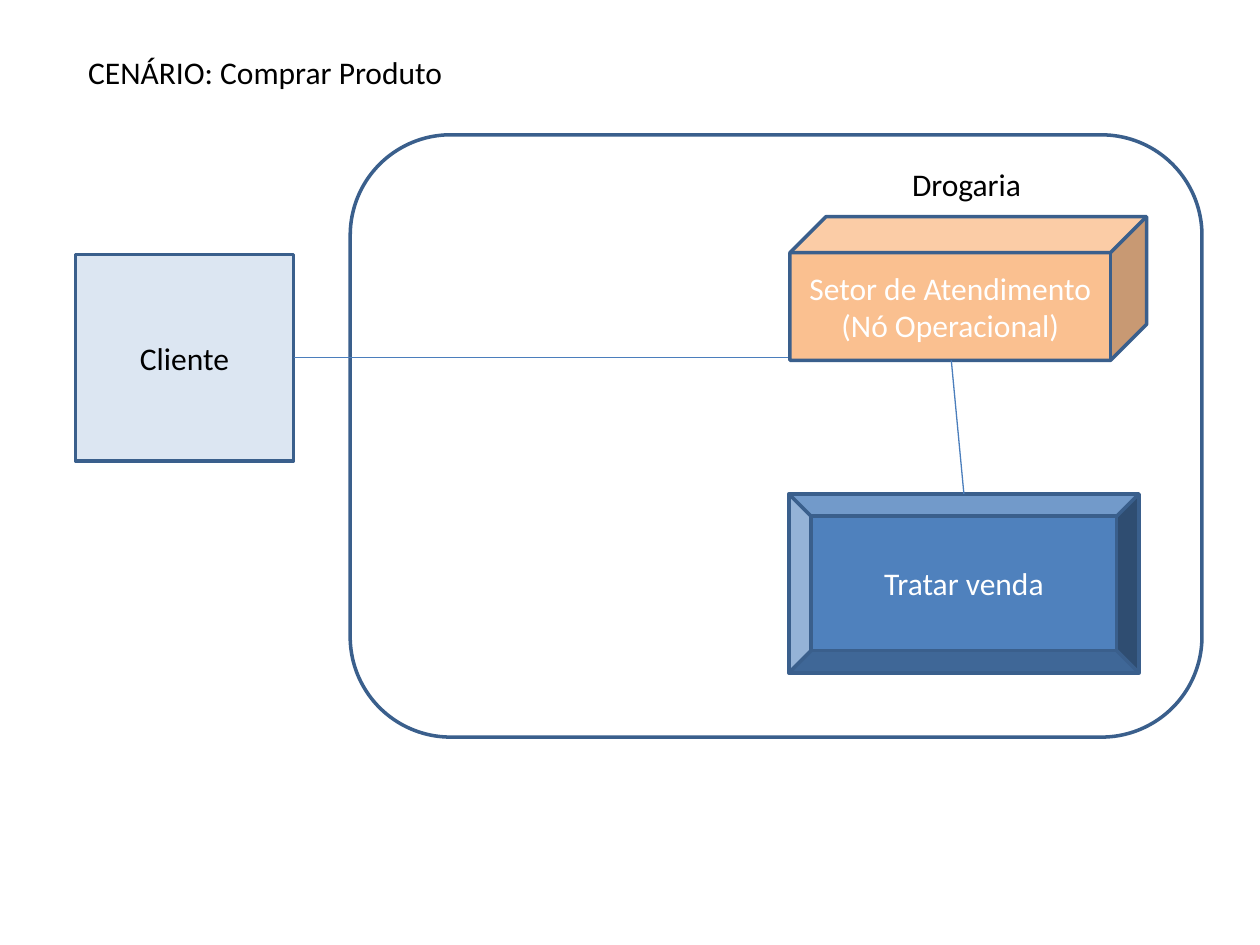
from dataclasses import dataclass

from lxml.etree import SubElement
from pptx import Presentation
from pptx.dml.color import RGBColor
from pptx.enum.shapes import MSO_CONNECTOR, MSO_SHAPE
from pptx.enum.text import MSO_ANCHOR, MSO_AUTO_SIZE, PP_ALIGN
from pptx.oxml.ns import qn
from pptx.util import Inches, Pt


@dataclass(frozen=True)
class Theme:
    font: str = "Calibri"
    text_size: float = 18
    outline_width: float = 2
    link_width: float = 0.75
    white: str = "FFFFFF"
    black: str = "000000"
    outline: str = "3A5F8C"
    link: str = "4B7EBC"
    actor: str = "DCE6F2"
    node: str = "FAC090"
    activity: str = "4F81BD"


class ScenarioSlide:
    def __init__(self, slide, theme):
        self.slide = slide
        self.theme = theme

    def add_lines(self, frame, lines, color, align, anchor):
        frame.word_wrap = True
        frame.auto_size = MSO_AUTO_SIZE.NONE
        frame.vertical_anchor = anchor
        for index, line in enumerate(lines):
            paragraph = frame.add_paragraph() if index else frame.paragraphs[0]
            paragraph.alignment = align
            run = paragraph.add_run()
            run.text = line
            run.font.name = self.theme.font
            run.font.size = Pt(self.theme.text_size)
            run.font.color.rgb = RGBColor.from_string(color)

    def title(self, text, left, top, width, height):
        title = self.slide.shapes.title
        title.left, title.top = Inches(left), Inches(top)
        title.width, title.height = Inches(width), Inches(height)
        self.add_lines(title.text_frame, [text], self.theme.black,
                       PP_ALIGN.LEFT, MSO_ANCHOR.TOP)

    def label(self, text, left, top, width, height):
        label = self.slide.shapes.add_textbox(
            Inches(left), Inches(top), Inches(width), Inches(height))
        self.add_lines(label.text_frame, [text], self.theme.black,
                       PP_ALIGN.LEFT, MSO_ANCHOR.TOP)

    def box(self, preset, left, top, width, height, fill, lines=(), color=None):
        box = self.slide.shapes.add_shape(
            preset, Inches(left), Inches(top), Inches(width), Inches(height))
        box.shadow.inherit = False
        box.fill.solid()
        box.fill.fore_color.rgb = RGBColor.from_string(fill)
        box.line.color.rgb = RGBColor.from_string(self.theme.outline)
        box.line.width = Pt(self.theme.outline_width)
        self.add_lines(box.text_frame, lines, color or self.theme.white,
                       PP_ALIGN.CENTER, MSO_ANCHOR.MIDDLE)

    def link(self, start, end):
        link = self.slide.shapes.add_connector(
            MSO_CONNECTOR.STRAIGHT, *map(Inches, start + end))
        link.line.color.rgb = RGBColor.from_string(self.theme.link)
        link.line.width = Pt(self.theme.link_width)
        SubElement(link._element.spPr, qn("a:effectLst"))


presentation = Presentation()
presentation.slide_width, presentation.slide_height = Inches(10), Inches(7.5)
theme = Theme()
scenario = ScenarioSlide(
    presentation.slides.add_slide(presentation.slide_layouts[5]), theme)

# Scenario title
scenario.title("CENÁRIO: Comprar Produto", 0.6, 0.37, 3.77, 0.4)

# Organisation boundary
scenario.box(MSO_SHAPE.ROUNDED_RECTANGLE, 2.78, 1.07, 6.76, 4.78, theme.white)

# Customer and its link to the service desk
scenario.box(MSO_SHAPE.RECTANGLE, 0.6, 2.02, 1.73, 1.64, theme.actor,
             ["Cliente"], theme.black)
scenario.link((2.33, 2.84), (6.27, 2.84))

# Operational node and its activity
scenario.label("Drogaria", 7.14, 1.26, 1.57, 0.4)
scenario.box(MSO_SHAPE.CUBE, 6.27, 1.72, 2.83, 1.14, theme.node,
             ["Setor de Atendimento", "(Nó Operacional)"])
scenario.box(MSO_SHAPE.BEVEL, 6.26, 3.92, 2.78, 1.42, theme.activity,
             ["Tratar venda"])
scenario.link((7.55, 2.86), (7.65, 3.92))

presentation.save("out.pptx")
